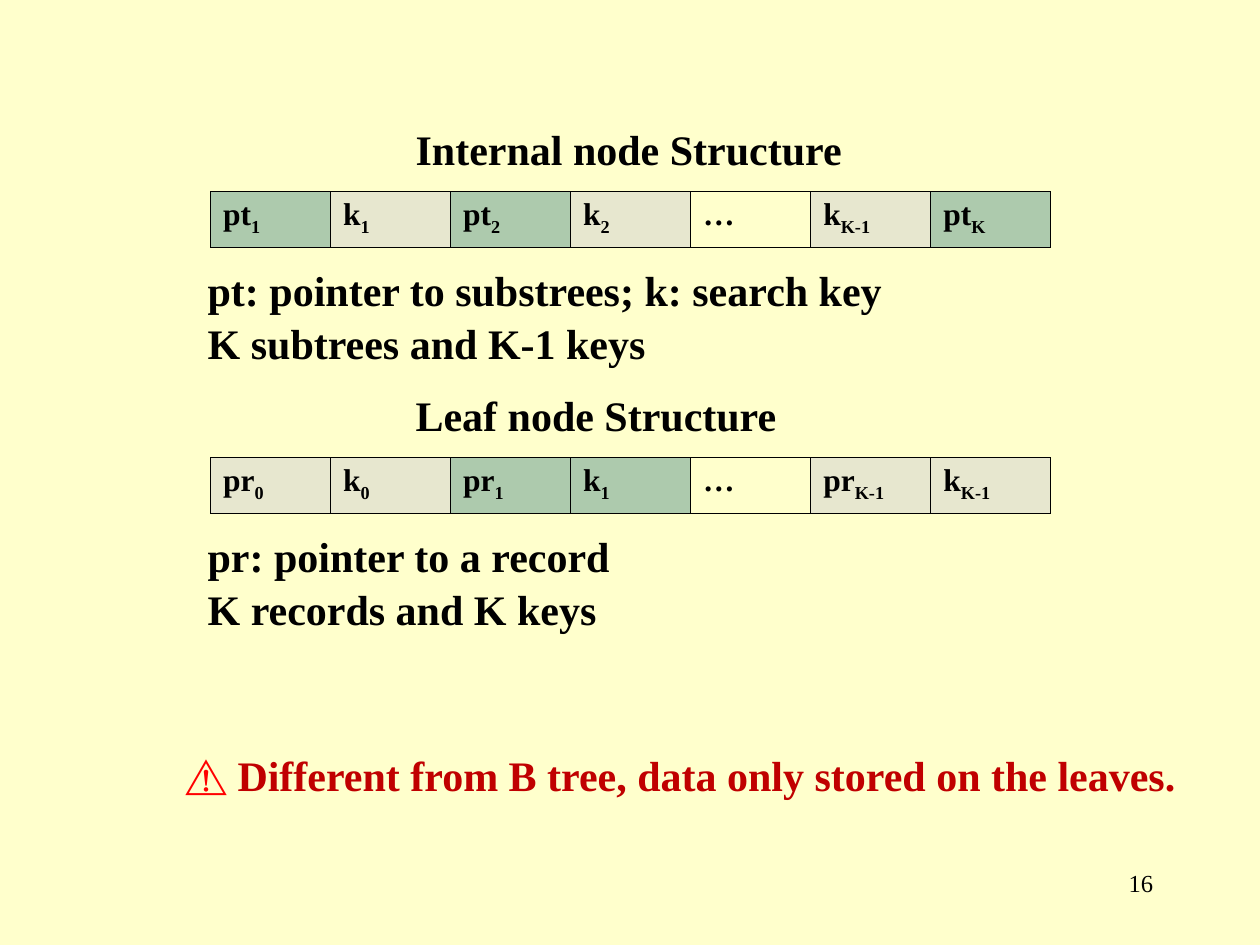
from lxml import etree
from pptx import Presentation
from pptx.dml.color import RGBColor
from pptx.enum.text import PP_ALIGN as Align
from pptx.oxml.ns import qn
from pptx.util import Inches, Pt

FONT = "Times New Roman"
COLORS = {
    "background": "FFFFCC",
    "black": "000000",
    "green": "ADCAAD",
    "beige": "E7E7CF",
    "icon": "FF0000",
    "warning": "C00000",
}
NODES = [
    {
        "top": 0.91,
        "heading": "Internal node Structure",
        "heading_width": 3.59,
        "cells": [
            ("pt", "1", "green"), ("k", "1", "beige"), ("pt", "2", "green"),
            ("k", "2", "beige"), ("…", "", None), ("k", "K-1", "beige"),
            ("pt", "K", "green"),
        ],
        "notes": ["pt: pointer to substrees; k: search key", "K subtrees and K-1 keys"],
        "notes_width": 5.57,
    },
    {
        "top": 3.02,
        "heading": "Leaf node Structure",
        "heading_width": 3.07,
        "cells": [
            ("pr", "0", "beige"), ("k", "0", "beige"), ("pr", "1", "green"),
            ("k", "1", "green"), ("…", "", None), ("pr", "K-1", "beige"),
            ("k", "K-1", "beige"),
        ],
        "notes": ["pr: pointer to a record", "K records and K keys"],
        "notes_width": 3.4,
    },
]
WARNING = [("⚠\ufe0f ", "icon"), ("Different from B tree, data only stored on the leaves.", "warning")]
PAGE_NUMBER = "16"
TABLE_WIDTH, ROW_HEIGHT = 6.67, 0.44
TABLE_OFFSET, NOTES_OFFSET = 0.61, 1.12


def add_run(paragraph, text, size, color="black", bold=True):
    run = paragraph.add_run()
    run.text = text
    run.font.name = FONT
    run.font.size = Pt(size)
    run.font.bold = bold
    run.font.color.rgb = RGBColor.from_string(COLORS[color])
    return run


def add_text(slide, left, top, width, height, lines, size=24, bold=True, wrap=False, align=Align.LEFT):
    box = slide.shapes.add_textbox(Inches(left), Inches(top), Inches(width), Inches(height))
    frame = box.text_frame
    frame.word_wrap = wrap
    for index, runs in enumerate(lines):
        paragraph = frame.add_paragraph() if index else frame.paragraphs[0]
        paragraph.alignment = align
        paragraph.line_spacing = 1.05
        for text, color in runs:
            add_run(paragraph, text, size, color, bold)


def set_borders(cell):
    properties = cell._tc.get_or_add_tcPr()
    for index, side in enumerate(("lnL", "lnR", "lnT", "lnB")):
        line = etree.Element(qn(f"a:{side}"), w=str(Pt(0.45)))
        fill = etree.SubElement(line, qn("a:solidFill"))
        etree.SubElement(fill, qn("a:srgbClr"), val=COLORS["black"])
        properties.insert(index, line)


def add_node_table(slide, top, cells):
    frame = slide.shapes.add_table(
        1, len(cells), Inches(1.67), Inches(top), Inches(TABLE_WIDTH), Inches(ROW_HEIGHT)
    )
    table = frame.table
    table.first_row = False
    table.horz_banding = False
    for cell, (label, subscript, color) in zip(table.rows[0].cells, cells):
        if color:
            cell.fill.solid()
            cell.fill.fore_color.rgb = RGBColor.from_string(COLORS[color])
        else:
            cell.fill.background()
        set_borders(cell)
        paragraph = cell.text_frame.paragraphs[0]
        add_run(paragraph, label, 18)
        if subscript:
            run = add_run(paragraph, subscript, 18)
            run.font._element.set("baseline", "-25000")


def main():
    presentation = Presentation()
    presentation.slide_width, presentation.slide_height = Inches(10), Inches(7.5)
    slide = presentation.slides.add_slide(presentation.slide_layouts[6])
    background = slide.background.fill
    background.solid()
    background.fore_color.rgb = RGBColor.from_string(COLORS["background"])

    for node in NODES:
        top = node["top"]
        add_text(slide, 3.2, top, node["heading_width"], 0.5, [[(node["heading"], "black")]])
        add_node_table(slide, top + TABLE_OFFSET, node["cells"])
        notes = [[(note, "black")] for note in node["notes"]]
        add_text(slide, 1.55, top + NOTES_OFFSET, node["notes_width"], 0.9, notes)

    add_text(slide, 1.37, 5.88, 8.08, 0.5, [WARNING])
    add_text(slide, 7.17, 6.83, 2.08, 0.5, [[(PAGE_NUMBER, "black")]],
             size=14, bold=False, wrap=True, align=Align.RIGHT)
    presentation.save("out.pptx")


if __name__ == "__main__":
    main()
